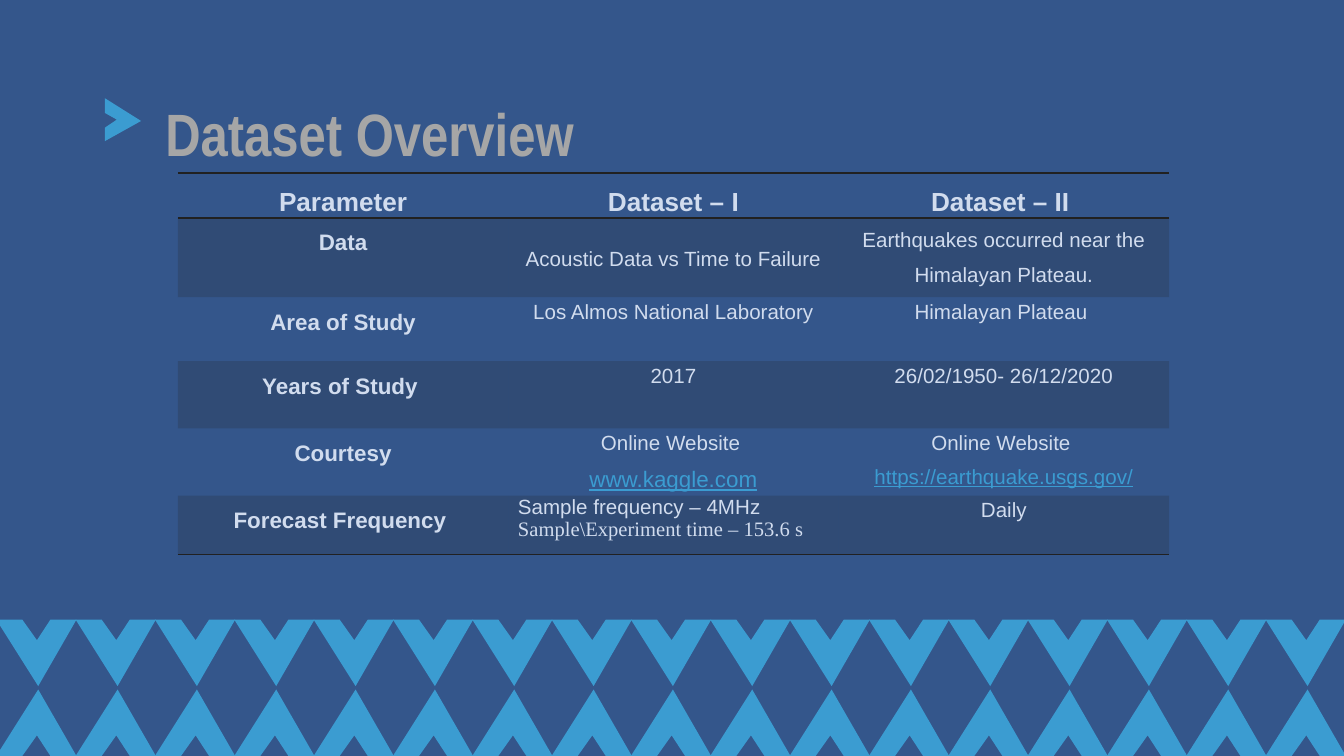
from lxml.etree import SubElement
from pptx import Presentation
from pptx.dml.color import RGBColor
from pptx.enum.text import MSO_ANCHOR, MSO_AUTO_SIZE, PP_ALIGN
from pptx.oxml import parse_xml
from pptx.oxml.ns import nsdecls, qn
from pptx.util import Pt

# Colours
NAVY = RGBColor(0x34, 0x56, 0x8B)
BLUE = RGBColor(0x3B, 0x9C, 0xD1)
GREY = RGBColor(0xA6, 0xA6, 0xA6)
PALE = RGBColor(0xD1, 0xDC, 0xEE)
DARK = RGBColor(0x21, 0x21, 0x21)

# Content: each cell is a list of (text, style) paragraphs
TITLE = "Dataset Overview"
ROWS = [
    [[("Parameter", "head")], [("Dataset – I", "head")],
     [("Dataset – II ", "head")]],
    [[("Data", "name")], [("Acoustic Data vs Time to Failure", "body")],
     [("Earthquakes occurred near the Himalayan Plateau.", "wide")]],
    [[("Area of Study", "name")], [("Los Almos National Laboratory", "body")],
     [("Himalayan Plateau ", "body")]],
    [[("Years of Study ", "name")], [("2017", "body")],
     [("26/02/1950- 26/12/2020", "body")]],
    [[("Courtesy", "name")],
     [("Online Website ", "body"), ("www.kaggle.com", "link")],
     [("Online Website ", "body"),
      ("https://earthquake.usgs.gov/", "small link")]],
    [[("Forecast Frequency ", "name")],
     [("Sample frequency – 4MHz", "left"),
      ("Sample\\Experiment time – 153.6 s", "serif")],
     [("Daily", "body")]],
]
HIGHS = [24.1, 42.5, 34.3, 36, 36, 31.5]
MIDDLE = (1, 1)  # the one cell centred vertically

# Style: size, bold, line spacing, colour, font, alignment
MID, LEFT = PP_ALIGN.CENTER, PP_ALIGN.LEFT
STYLES = {
    "head": (14, True, 1.5, PALE, "Arial", MID),
    "name": (12, True, 1.5, PALE, "Arial", MID),
    "body": (11, False, 1.15, PALE, "Arial", MID),
    "wide": (11, False, 1.5, PALE, "Arial", MID),
    "link": (12, False, 1.5, BLUE, "Arial", MID),
    "small link": (11, False, 1.5, BLUE, "Arial", MID),
    "left": (11, False, 1.0, PALE, "Arial", LEFT),
    "serif": (11, False, 1.0, PALE, "Times New Roman", LEFT),
}

# Outlines in points
ARROW = [(56.2, 52.6), (75.6, 64.8), (56.2, 75.6),
         (56.2, 68.4), (62.6, 64.1), (56.2, 60.5)]
VEE = [(0, 0), (22.5, 35.6), (43, 0), (29, 0), (21.8, 11), (14, 0)]
COUNT, STEP, START = 17, 42.5, -2
TOP, BASE = 332, 405


def draw(slide, points):
    spots = [(Pt(x), Pt(y)) for x, y in points]
    build = slide.shapes.build_freeform(*spots[0], scale=1.0)
    build.add_line_segments(spots[1:], close=True)
    shape = build.convert_to_shape()
    shape.shadow.inherit = False
    shape.fill.solid()
    shape.fill.fore_color.rgb = BLUE
    shape.line.fill.background()


def write(para, text, style):
    size, bold, space, color, face, align = STYLES[style]
    para.alignment = align
    para.line_spacing = space
    run = para.add_run()
    run.text = text
    font = run.font
    font.size, font.bold, font.name = Pt(size), bold, face
    font.color.rgb = color
    font.underline = color == BLUE


def rule(cell, sides):
    """Draw 1 pt lines on the given sides; borders come before the fill."""
    props = cell._tc.get_or_add_tcPr()
    for spot, side in enumerate(sides):
        props.insert(spot, parse_xml(
            f'<a:ln{side} {nsdecls("a")} w="12700"><a:solidFill>'
            f'<a:srgbClr val="{DARK}"/></a:solidFill></a:ln{side}>'))


def shade(cell):
    cell.fill.solid()
    cell.fill.fore_color.rgb = DARK
    tint = cell._tc.tcPr.find(".//" + qn("a:srgbClr"))
    SubElement(tint, qn("a:alpha"), val="20000")


def main():
    deck = Presentation()
    deck.slide_width, deck.slide_height = Pt(720), Pt(405)
    slide = deck.slides.add_slide(deck.slide_layouts[5])
    slide.background.fill.solid()
    slide.background.fill.fore_color.rgb = NAVY

    # Title
    title = slide.shapes.title
    title.left, title.top = Pt(81.4), Pt(42.5)
    title.width, title.height = Pt(588), Pt(41)
    frame = title.text_frame
    frame.auto_size = MSO_AUTO_SIZE.NONE
    frame.vertical_anchor = MSO_ANCHOR.TOP
    frame.margin_top, frame.margin_bottom = Pt(9.5), 0
    para = frame.paragraphs[0]
    para.alignment = LEFT
    run = para.add_run()
    run.text = TITLE
    run.font.size, run.font.bold, run.font.name = Pt(32), True, "Arial Narrow"
    run.font.color.rgb = GREY

    # Arrow and the two mirrored rows of chevrons
    draw(slide, ARROW)
    for col in range(COUNT):
        left = START + col * STEP
        draw(slide, [(left + x, TOP + y) for x, y in VEE])
        draw(slide, [(left + x, BASE - y) for x, y in VEE])

    # Table
    table = slide.shapes.add_table(len(ROWS), 3, Pt(95.3), Pt(92.6),
                                   Pt(531), Pt(sum(HIGHS))).table
    table.first_row = table.horz_banding = False
    plain = table._tbl.tblPr.find(qn("a:tableStyleId"))
    plain.text = "{2D5ABB26-0587-4C30-8999-92F81FD0307C}"
    for col in table.columns:
        col.width = Pt(177)
    for row, cells in enumerate(ROWS):
        table.rows[row].height = Pt(HIGHS[row])
        for col, paras in enumerate(cells):
            cell = table.cell(row, col)
            cell.margin_left = cell.margin_right = Pt(5.2)
            cell.margin_top = cell.margin_bottom = 0
            if (row, col) == MIDDLE:
                cell.vertical_anchor = MSO_ANCHOR.MIDDLE
            if row % 2:
                shade(cell)
            else:
                cell.fill.background()
            if row == 0:
                rule(cell, "TB")
            elif row == len(ROWS) - 1:
                rule(cell, "B")
            frame = cell.text_frame
            for spot, (text, style) in enumerate(paras):
                para = frame.add_paragraph() if spot else frame.paragraphs[0]
                write(para, text, style)

    deck.save("out.pptx")


if __name__ == "__main__":
    main()
